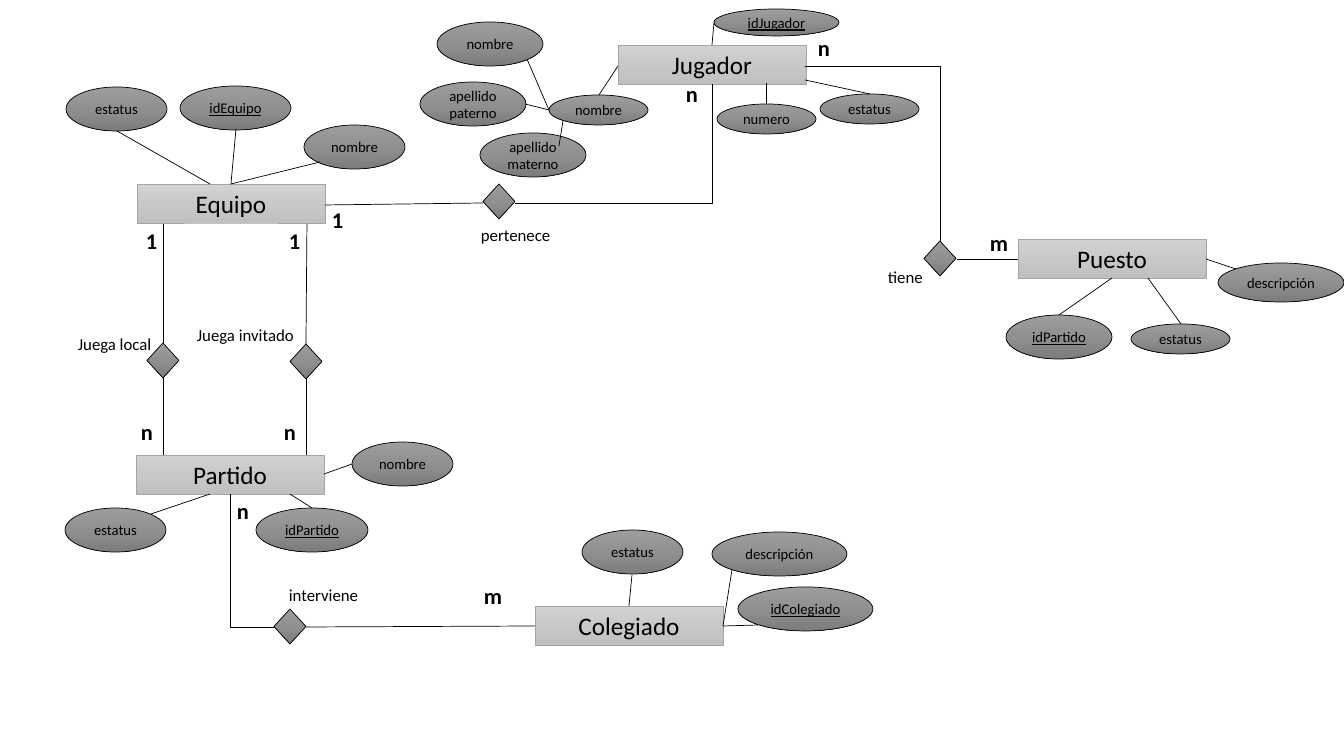
from copy import deepcopy
from dataclasses import dataclass
from lxml import etree
from pptx import Presentation
from pptx.dml.color import RGBColor
from pptx.enum.shapes import MSO_CONNECTOR as CONN, MSO_SHAPE as SHAPE
from pptx.enum.text import MSO_ANCHOR, MSO_AUTO_SIZE, PP_ALIGN
from pptx.oxml.ns import qn
from pptx.util import Pt


@dataclass(frozen=True)
class Theme:
    font: str = "Calibri"
    ink: str = "000000"
    entity_line: str = "A5A5A5"
    entity_fill: tuple = ("D2D2D2", "C8C8C8", "C0C0C0")
    detail_fill: tuple = ("9D9D9D", "909090", "7C7C7C")
    line_width: float = 0.5
    entity_size: float = 18
    attribute_size: float = 10.5
    relation_size: float = 12
    cardinality_size: float = 16


theme = Theme()
SCALE = 914400 / 100.8
prs = Presentation()
prs.slide_width, prs.slide_height = round(1344 * SCALE), round(756 * SCALE)
s = prs.slides.add_slide(prs.slide_layouts[6])


def write(sp, text, size, bold=False, underline=False):
    tf = sp.text_frame
    tf.text = text
    f = tf.paragraphs[0].runs[0].font
    f.name, f.size = theme.font, Pt(size)
    f.bold, f.underline = bold, underline
    f.color.rgb = RGBColor.from_string(theme.ink)
    return tf


def add_node(kind, box, colors, line, text="", size=0, underline=False):
    sp = s.shapes.add_shape(kind, *(round(v * SCALE) for v in box))
    sp.shadow.inherit = False
    sp.fill.gradient()
    sp.fill.gradient_angle = 270
    first = sp._element.spPr.find(".//" + qn("a:gs"))
    first.addnext(deepcopy(first))
    for stop, color, position in zip(sp.fill.gradient_stops, colors, (0, 0.5, 1)):
        stop.color.rgb = RGBColor.from_string(color)
        stop.position = position
    sp.line.color.rgb = RGBColor.from_string(line)
    sp.line.width = Pt(theme.line_width)
    if text:
        tf = write(sp, text, size, underline=underline)
        tf.word_wrap = True
        tf.vertical_anchor = MSO_ANCHOR.MIDDLE
        tf.paragraphs[0].alignment = PP_ALIGN.CENTER


entities = [
    ("Jugador", 618, 45), ("Colegiado", 535, 606), ("Equipo", 137, 184),
    ("Partido", 136, 455), ("Puesto", 1018, 239),
]
for name, x, y in entities:
    add_node(SHAPE.RECTANGLE, (x, y, 188, 39), theme.entity_fill,
             theme.entity_line, name, theme.entity_size)

for x, y in [(483, 184), (147, 343), (290, 344), (924, 241), (274, 609)]:
    add_node(SHAPE.DIAMOND, (x, y, 32, 35), theme.detail_fill, theme.ink)

attributes = [
    ("descripción", 712, 532, 135, 44), ("idColegiado", 738, 587, 135, 44),
    ("estatus", 582, 530, 101, 44), ("estatus", 65, 508, 101, 44),
    ("idPartido", 256, 508, 112, 44), ("nombre", 352, 442, 101, 44),
    ("estatus", 66, 87, 101, 44), ("idEquipo", 180, 86, 111, 44),
    ("nombre", 304, 125, 101, 44), ("apellido paterno", 420, 82, 106, 44),
    ("nombre", 549, 95, 99, 30), ("apellido materno", 480, 133, 106, 44),
    ("nombre", 437, 22, 106, 44), ("numero", 717, 104, 99, 30),
    ("estatus", 820, 94, 99, 30), ("idJugador", 714, 9, 125, 27),
    ("idPartido", 1006, 315, 106, 44), ("estatus", 1131, 324, 99, 30),
    ("descripción", 1218, 263, 126, 39),
]
for name, *box in attributes:
    add_node(SHAPE.OVAL, box, theme.detail_fill, theme.ink, name,
             theme.attribute_size, underline=name.startswith("id"))

straight = [
    (483, 203, 325, 205), (306, 344, 307, 224), (163, 343, 163, 224),
    (163, 378, 163, 455), (306, 378, 306, 455), (957, 259, 1018, 259),
    (306, 627, 535, 626), (629, 606, 632, 575), (723, 626, 732, 570),
    (723, 626, 758, 625), (210, 494, 151, 514), (290, 494, 312, 508),
    (324, 474, 352, 464), (117, 131, 210, 184), (236, 129, 231, 184),
    (320, 162, 231, 184), (618, 66, 599, 95), (549, 110, 527, 59),
    (563, 121, 559, 146), (549, 110, 525, 104), (805, 80, 870, 94),
    (766, 83, 766, 104), (714, 23, 712, 45), (1112, 278, 1059, 315),
    (1148, 278, 1181, 324), (1206, 259, 1236, 269),
]
elbows = [(515, 203, 712, 84), (805, 66, 940, 241), (274, 627, 230, 494)]
for kind, lines in ((CONN.STRAIGHT, straight), (CONN.ELBOW, elbows)):
    for ends in lines:
        link = s.shapes.add_connector(kind, *(round(v * SCALE) for v in ends))
        link.line.color.rgb = RGBColor.from_string(theme.ink)
        link.line.width = Pt(theme.line_width)
        spPr = link._element.spPr
        etree.SubElement(spPr, qn("a:effectLst"))
        if kind == CONN.ELBOW:
            spPr.find(qn("a:prstGeom")).set("prst", "bentConnector2")

relations = [
    ("Juega local", 68, 329, 95), ("Juega invitado", 187, 320, 118),
    ("interviene", 279, 580, 90), ("tiene", 878, 262, 55),
    ("pertenece", 471, 220, 91),
]
cardinalities = [
    ("n", 131, 413, 32), ("n", 274, 413, 32), ("1", 136, 222, 32),
    ("1", 279, 222, 32), ("n", 227, 492, 32), ("m", 474, 577, 38),
    ("n", 808, 29, 32), ("m", 980, 224, 38), ("n", 676, 75, 32),
    ("1", 322, 201, 32),
]
for labels, h, size, bold in (
    (relations, 30, theme.relation_size, False),
    (cardinalities, 37, theme.cardinality_size, True),
):
    for text, x, y, w in labels:
        tb = s.shapes.add_textbox(*(round(v * SCALE) for v in (x, y, w, h)))
        tf = write(tb, text, size, bold=bold)
        tf.word_wrap = False
        tf.auto_size = MSO_AUTO_SIZE.SHAPE_TO_FIT_TEXT

prs.save("out.pptx")
